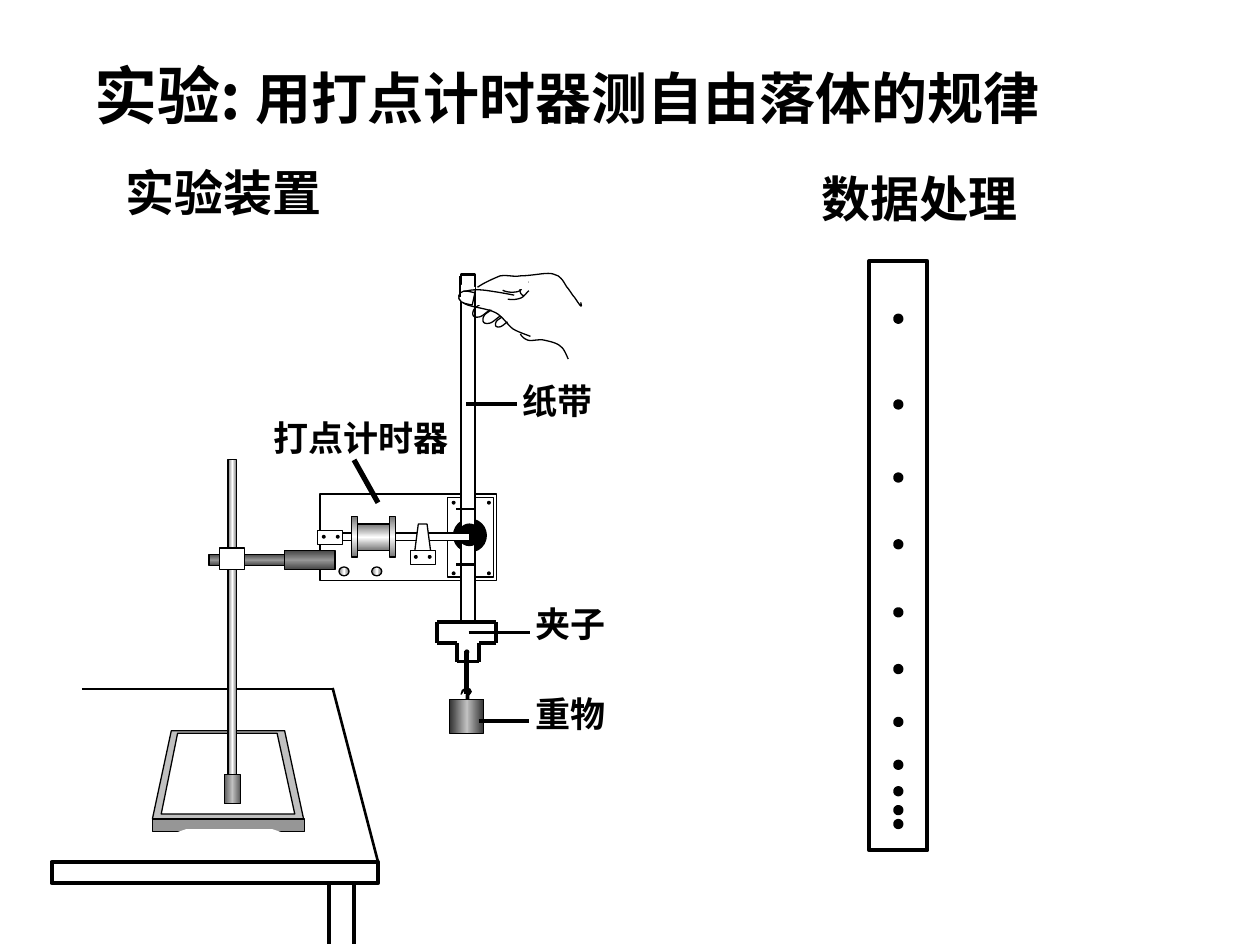
"""Draw the free-fall experiment: ticker-timer apparatus and dotted tape."""
import copy
import itertools
from typing import Any, NamedTuple, Optional

import pptx
import pptx.dml.color
import pptx.enum.dml
import pptx.enum.shapes
import pptx.enum.text
import pptx.oxml
import pptx.oxml.ns
import pptx.util

Inches = pptx.util.Inches
Pt = pptx.util.Pt
FORM = pptx.enum.shapes.MSO_SHAPE
ALIGN = pptx.enum.text.PP_ALIGN
FIT = pptx.enum.text.MSO_AUTO_SIZE
qn = pptx.oxml.ns.qn
BLACK, WHITE, SILVER = "000000", "FFFFFF", "C0C0C0"
SERIF, SANS = "Times New Roman", "Noto Sans CJK SC"


class Grad(NamedTuple):
    edge: str
    mid: str
    angle: int = 0


class Box(NamedTuple):
    x: float
    y: float
    w: float
    h: float
    fill: Any = WHITE
    width: float = 0.75
    form: Any = FORM.RECTANGLE
    hue: str = BLACK
    turn: float = 0
    flip: bool = False


class Line(NamedTuple):
    start: tuple
    end: tuple
    width: float = 2.25


class Curve(NamedTuple):
    points: list
    turn: float = 0


class Patch(NamedTuple):
    points: list
    fill: str = WHITE
    width: float = 0.75


class Label(NamedTuple):
    x: float
    y: float
    w: float
    h: float
    runs: list
    align: Any = ALIGN.LEFT
    fit: Any = FIT.SHAPE_TO_FIT_TEXT


def color(code: str) -> pptx.dml.color.RGBColor:
    return pptx.dml.color.RGBColor.from_string(code)


def assign(item: Any, values: dict) -> None:
    for key, value in values.items():
        setattr(item, key, value)


def paint(shape: Any, fill: Any, width: float, hue: str = BLACK) -> None:
    shape.shadow.inherit = False
    if fill is None:
        shape.fill.background()
    elif isinstance(fill, Grad):
        shape.fill.gradient()
        shape.fill.gradient_angle = fill.angle
        stops = shape._element.spPr.find(".//" + qn("a:gsLst"))
        stops.insert(1, copy.deepcopy(stops[0]))
        tones = (fill.edge, fill.mid, fill.edge)
        for stop, tone, place in zip(shape.fill.gradient_stops, tones, (0, 0.5, 1)):
            stop.color.rgb = color(tone)
            stop.position = place
    else:
        shape.fill.solid()
        shape.fill.fore_color.rgb = color(fill)
    if width:
        shape.line.color.rgb = color(hue)
        shape.line.width = Pt(width)
    else:
        shape.line.fill.background()


def draw_box(host: Any, box: Box) -> None:
    shape = host.add_shape(box.form, *map(Inches, box[:4]))
    paint(shape, box.fill, box.width, box.hue)
    shape.rotation = box.turn
    if box.flip:
        shape._element.spPr.find(qn("a:xfrm")).set("flipH", "1")


def draw_line(host: Any, line: Line) -> None:
    kind = pptx.enum.shapes.MSO_CONNECTOR.STRAIGHT
    rule = host.add_connector(kind, *map(Inches, line.start + line.end))
    rule.line.color.rgb = color(BLACK)
    rule.line.width = Pt(line.width)
    rule._element.spPr.append(pptx.oxml.parse_xml(f'<a:effectLst {pptx.oxml.ns.nsdecls("a")}/>'))


def trace(host: Any, points: list, close: bool) -> Any:
    spots = [(Inches(x), Inches(y)) for x, y in points]
    pen = host.build_freeform(*spots[0])
    pen.add_line_segments(spots[1:], close=close)
    return pen.convert_to_shape()


def bend(points: list, steps: int = 8) -> list:
    """Sample a chain of cubic curves."""
    found = [points[0]]
    for at in range(0, len(points) - 1, 3):
        for step in range(1, steps + 1):
            t = step / steps
            rates = ((1 - t) ** 3, 3 * t * (1 - t) ** 2, 3 * t * t * (1 - t), t ** 3)
            found.append(tuple(sum(r * p[i] for r, p in zip(rates, points[at:at + 4])) for i in (0, 1)))
    return found


def draw_curve(host: Any, curve: Curve) -> None:
    shape = trace(host, bend(curve.points), False)
    paint(shape, None, 0.75)
    shape.rotation = curve.turn


def draw_patch(host: Any, patch: Patch) -> None:
    paint(trace(host, patch.points, True), patch.fill, patch.width)


def draw_label(host: Any, label: Label) -> None:
    frame = host.add_textbox(*map(Inches, label[:4])).text_frame
    assign(frame, {"word_wrap": True, "auto_size": label.fit})
    para = frame.paragraphs[0]
    para.alignment = label.align
    for text, size, face in label.runs:
        run = para.add_run()
        run.text = text
        assign(run.font, {"size": Pt(size), "name": face, "bold": True})
        run.font.color.rgb = color(BLACK)


def draw(host: Any, parts: list) -> None:
    tools = {Box: draw_box, Line: draw_line, Curve: draw_curve, Patch: draw_patch, Label: draw_label}
    for part in parts:
        tools[type(part)](host, part)


def dots(spots: Any, size: float = 0.02, width: float = 0.75) -> list:
    return [Box(x, y, size, size, BLACK, width, FORM.OVAL) for x, y in spots]


def name(x: float, y: float, w: float, h: float, text: str) -> Label:
    return Label(x, y, w, h, [(text, 20, SERIF)], ALIGN.JUSTIFY, FIT.NONE)


def head(x: float, y: float, text: str) -> Label:
    return Label(x, y, 2.05, 0.57, [(text, 28, SERIF)])


def finger(x: float, y: float, scale: float) -> Curve:
    shape = [(0, 0), (-.03, .02), (-.05, .03), (-.06, .05), (-.07, .07), (-.07, .09), (-.06, .1),
             (-.05, .11), (-.02, .11), (0, .1), (.02, .09), (.05, .06), (.07, .05)]
    return Curve([(x + scale * dx, y + scale * dy) for dx, dy in shape])


STEEL, COIL, ARM = Grad("757575", WHITE), Grad("757575", WHITE, 90), Grad("454545", "969696", 90)
STAND = [
    *(Line((x, 6.91), (x, 7.49)) for x in (2.61, 2.81)), Line((0.65, 5.47), (2.64, 5.47), 1.5),
    Patch([(1.21, 6.5), (2.41, 6.5), (2.26, 5.8), (1.36, 5.8)], SILVER), Box(1.21, 6.5, 1.21, 0.1, "969696"),
    Patch([(1.33, 6.63), (2.31, 6.63), (2.16, 6.58), (1.48, 6.58)], WHITE, 0),
    Patch([(1.28, 6.46), (2.34, 6.46), (2.2, 5.82), (1.41, 5.82)]), Box(1.81, 3.65, 0.07, 2.7, STEEL)]
TIMER = [
    Box(2.54, 3.92, 1.4, 0.69), Box(3.55, 3.95, 0.37, 0.63),
    *dots(itertools.product((3.59, 3.87), (3.98, 4.54))), *dots([(3.6, 4.12)], 0.26),
    Box(3.66, 2.18, 0.11, 2.76, width=1.5), *dots([(3.64, 4.16)], 0.17),
    Box(2.67, 4.23, 1.06, 0.06), Box(2.52, 4.21, 0.2, 0.11), *dots([(2.67, 4.25), (2.56, 4.25)]),
    Patch([(3.29, 4.39), (3.42, 4.39), (3.39, 4.16), (3.32, 4.16)]), Box(3.26, 4.37, 0.2, 0.11),
    *dots([(3.4, 4.41), (3.29, 4.41)]), Box(2.79, 4.16, 0.3, 0.21, COIL),
    *(Box(x, 4.1, 0.05, 0.32, COIL) for x in (3.09, 2.79)),
    *(Box(x, 4.5, 0.08, 0.07, STEEL, form=FORM.OVAL) for x in (2.69, 2.95)),
    *(Line((3.62, y), (3.78, y), 1.25) for y in (4.48, 4.04)),
    Box(1.66, 4.4, 0.83, 0.09, ARM), Box(2.26, 4.37, 0.4, 0.15, ARM), Box(1.74, 4.35, 0.2, 0.17)]
CLAMP = [(3.47, 5.1), (3.47, 4.94), (3.94, 4.94), (3.94, 5.1), (3.8, 5.1), (3.8, 5.25), (3.63, 5.25), (3.63, 5.1)]
HOOK = [(3.72, 5.56), (3.72, 5.52), (3.74, 5.49), (3.73, 5.47), (3.7, 5.46), (3.67, 5.48), (3.66, 5.51),
        (3.68, 5.48), (3.7, 5.47), (3.71, 5.49), (3.7, 5.52), (3.7, 5.56)]
LOAD = [
    Patch(HOOK, BLACK), Box(3.57, 5.55, 0.27, 0.27, Grad("333333", SILVER)), Line((3.7, 5.17), (3.7, 5.51), 3),
    *(Line(a, b) for a, b in zip(CLAMP, CLAMP[1:] + CLAMP[:1])), *dots([(3.69, 5.16)], 0.03),
    Box(0.41, 6.84, 2.59, 0.17, width=2.25), Line((3, 6.84), (2.64, 5.46), 1.5)]
NAMES = [
    name(2.07, 3.26, 1.79, 0.69, "打点计时器"), name(4.05, 2.96, 1, 0.69, "纸带"),
    name(4.15, 4.73, 1, 0.52, "夹子"), Line((3, 3.99), (2.81, 3.65), 3), Line((3.7, 3.21), (4.1, 3.21)),
    Line((3.72, 5.02), (4.21, 5.02)), name(4.15, 5.45, 1, 0.52, "重物"), Line((3.8, 5.72), (4.2, 5.72)),
    Box(1.78, 6.15, 0.13, 0.23, Grad("585858", SILVER))]
HAND = [
    Box(3.6, 2.26, 0.16, 0.13, width=0, form=FORM.FLOWCHART_DELAY, turn=12.5, flip=True),
    Curve([(3.64, 2.36), (3.65, 2.38), (3.66, 2.4), (3.71, 2.42), (3.76, 2.44), (3.87, 2.45), (3.93, 2.48),
           (3.99, 2.51), (4.02, 2.57), (4.07, 2.61), (4.12, 2.64), (4.19, 2.66), (4.21, 2.67)]),
    Curve([(4.13, 2.65), (4.14, 2.67), (4.16, 2.69), (4.19, 2.7), (4.22, 2.71), (4.28, 2.69), (4.32, 2.7),
           (4.36, 2.71), (4.42, 2.72), (4.45, 2.75), (4.48, 2.77), (4.5, 2.83), (4.51, 2.85)]),
    Curve([(3.67, 2.31), (3.72, 2.3), (3.76, 2.29), (3.83, 2.3), (3.9, 2.31), (4.04, 2.34), (4.08, 2.35)], 357.9),
    Curve([(3.79, 2.28), (3.85, 2.24), (3.92, 2.21), (3.97, 2.19), (4.03, 2.18), (4.07, 2.2), (4.13, 2.19),
           (4.2, 2.19), (4.3, 2.17), (4.35, 2.17), (4.39, 2.17), (4.4, 2.18), (4.43, 2.19), (4.47, 2.22),
           (4.48, 2.25), (4.5, 2.28), (4.52, 2.3), (4.54, 2.34), (4.56, 2.36), (4.58, 2.39), (4.6, 2.42),
           (4.61, 2.43), (4.62, 2.43), (4.61, 2.41), (4.61, 2.4)]),
    Curve([(4.03, 2.34), (4.06, 2.36), (4.1, 2.37), (4.13, 2.37), (4.16, 2.37), (4.18, 2.35), (4.21, 2.34)], 338.2),
    Curve([(4.14, 2.24), (4.12, 2.26), (4.12, 2.29), (4.14, 2.31), (4.15, 2.34), (4.19, 2.35), (4.21, 2.33)], 55.7),
    Curve([(3.99, 2.3), (4, 2.31), (4.04, 2.32), (4.07, 2.32), (4.11, 2.32), (4.14, 2.31), (4.14, 2.29)], 357.9),
    Box(4.03, 2.23, 0.16, 0.06, hue=WHITE), finger(3.82, 2.41, 1), finger(3.9, 2.46, 1), finger(3.98, 2.52, 0.7),
    Box(3.79, 2.36, 0.08, 0.06, width=0),
    Box(3.64, 2.31, 0.12, 0.1, form=FORM.FLOWCHART_DELAY, turn=12.5, flip=True), Line((3.65, 2.19), (3.65, 2.36), 0.75)]
TITLE = [("实验: ", 36, SANS), ("用打点计时器测自由落体的规律", 32, SERIF)]
HEADS = [Label(0.65, 0.4, 8.56, 0.7, TITLE), head(0.9, 1.24, "实验装置"), head(6.42, 1.29, "数据处理")]
MARKS = (6.52, 6.41, 6.26, 6.05, 5.71, 5.29, 4.84, 4.3, 3.77, 3.19, 2.51)
TAPE = [Box(6.9, 2.07, 0.46, 4.68, None, 2.25), *dots([(7.11, y) for y in MARKS], 0.04, 3)]


def main() -> None:
    deck = pptx.Presentation()
    assign(deck, {"slide_width": Inches(10), "slide_height": Inches(7.5)})
    shapes = deck.slides.add_slide(deck.slide_layouts[6]).shapes
    draw(shapes.add_group_shape().shapes, STAND + TIMER + LOAD + NAMES + HAND)
    draw(shapes, HEADS)
    draw(shapes.add_group_shape().shapes, TAPE)
    deck.save("out.pptx")


if __name__ == "__main__":
    main()
